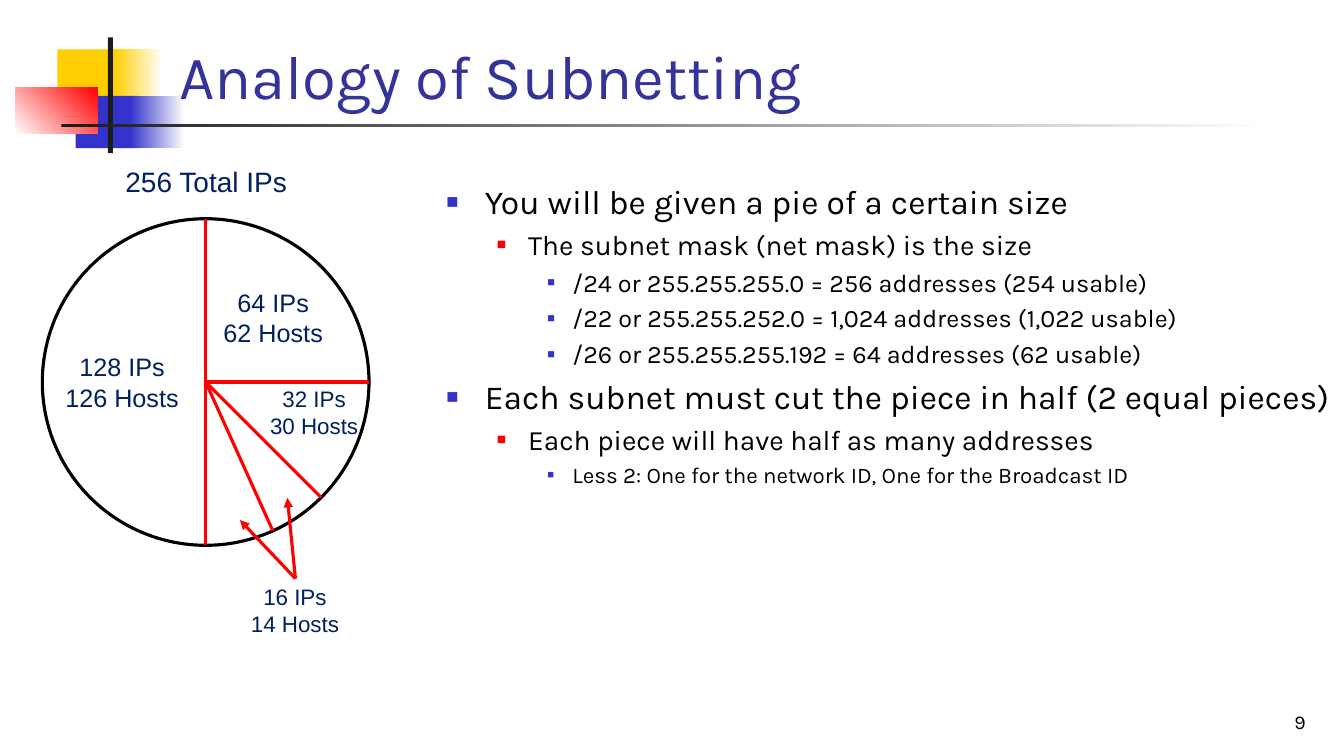
import math

import lxml.etree
import pptx
import pptx.dml.color
import pptx.enum.dml
import pptx.enum.shapes
import pptx.enum.text
import pptx.oxml.ns
import pptx.util

Inches = pptx.util.Inches
Pt = pptx.util.Pt
Align = pptx.enum.text.PP_ALIGN
Anchor = pptx.enum.text.MSO_ANCHOR
Fit = pptx.enum.text.MSO_AUTO_SIZE
Preset = pptx.enum.shapes.MSO_SHAPE


def color(hex_value):
    """Turn a hex string into an RGB colour."""
    return pptx.dml.color.RGBColor.from_string(hex_value)


def add_xml(parent, tag, **attributes):
    """Append a DrawingML element to a parent."""
    return lxml.etree.SubElement(parent, pptx.oxml.ns.qn(tag), **attributes)


class SlidePainter:
    """Hold the style and the slide being drawn."""

    heading_font, label_font = "Karla", "Arial"
    ink, navy, red, blue = "000000", "002060", "FF0000", "3333CC"
    line_width = Pt(2.25)

    def __init__(self, slide):
        """Keep the slide to draw on."""
        self.slide = slide

    def shape(self, preset, box):
        """Add a preset shape without shadow or outline."""
        shape = self.slide.shapes.add_shape(preset, *map(Inches, box))
        shape.shadow.inherit = False
        shape.line.fill.background()
        return shape

    def block(self, box, start, end=None, angle=0):
        """Add a rectangle with a solid or gradient fill."""
        fill = self.shape(Preset.RECTANGLE, box).fill
        if end is None:
            fill.solid()
            fill.fore_color.rgb = color(start)
            return
        fill.gradient()
        fill.gradient_angle = angle
        for stop, position, shade in zip(fill.gradient_stops, (0, 1), (start, end)):
            stop.position = position
            stop.color.rgb = color(shade)

    def circle(self, center, radius):
        """Add an outlined circle."""
        x, y = center
        circle = self.shape(Preset.OVAL, (x - radius, y - radius, 2 * radius, 2 * radius))
        circle.fill.background()
        circle.line.color.rgb = color(self.ink)
        circle.line.width = self.line_width

    def line(self, start, end, arrow=False):
        """Add a red line, with an arrowhead at its end if asked."""
        line = self.slide.shapes.add_connector(
            pptx.enum.shapes.MSO_CONNECTOR.STRAIGHT, *map(Inches, (*start, *end)))
        line.line.color.rgb = color(self.red)
        line.line.width = self.line_width
        properties = line._element.spPr
        if arrow:
            add_xml(properties.find(pptx.oxml.ns.qn("a:ln")), "a:tailEnd", type="triangle")
        add_xml(properties, "a:effectLst")

    def frame(self, box, anchor=Anchor.TOP, wrap=True):
        """Add a text box and return its text frame."""
        frame = self.slide.shapes.add_textbox(*map(Inches, box)).text_frame
        frame.word_wrap = wrap
        frame.vertical_anchor = anchor
        frame.auto_size = Fit.NONE if wrap else Fit.SHAPE_TO_FIT_TEXT
        return frame

    def paragraph(self, frame, index, text, size, font, shade, align=Align.LEFT):
        """Add one paragraph and return it."""
        paragraph = frame.add_paragraph() if index else frame.paragraphs[0]
        paragraph.alignment = align
        run = paragraph.add_run()
        run.text = text
        run.font.size = Pt(size)
        run.font.name = font
        run.font.color.rgb = color(shade)
        return paragraph

    def heading(self, box, text, size, shade, align=Align.LEFT):
        """Add a single bottom-anchored line of text."""
        frame = self.frame(box, Anchor.BOTTOM)
        self.paragraph(frame, 0, text, size, self.heading_font, shade, align)

    def label(self, box, lines, size):
        """Add a centred label for a part of the pie."""
        frame = self.frame(box, wrap=False)
        for index, text in enumerate(lines):
            self.paragraph(frame, index, text, size, self.label_font, self.navy, Align.CENTER)

    def outline(self, box, points):
        """Add a bulleted outline of (level, size, text) points."""
        levels = ((0.38, 0.38, self.blue, 60), (0.81, 0.31, self.red, 55),
                  (1.25, 0.25, self.blue, 50))
        frame = self.frame(box)
        for index, (level, size, text) in enumerate(points):
            margin, hanging, shade, percent = levels[level]
            paragraph = self.paragraph(frame, index, text, size, self.heading_font, self.ink)
            paragraph.level = level
            paragraph.space_before = Pt(0.22 * size)
            properties = paragraph._p.get_or_add_pPr()
            properties.set("marL", str(Inches(margin)))
            properties.set("indent", str(-Inches(hanging)))
            add_xml(add_xml(properties, "a:buClr"), "a:srgbClr", val=shade)
            add_xml(properties, "a:buSzPct", val=str(percent * 1000))
            add_xml(properties, "a:buFont", typeface=self.label_font)
            add_xml(properties, "a:buChar", char="■")


presentation = pptx.Presentation()
presentation.slide_width = Inches(13.33)
presentation.slide_height = Inches(7.5)
painter = SlidePainter(presentation.slides.add_slide(presentation.slide_layouts[6]))

for ornament in (
    ((0.57, 0.49, 0.64, 0.52), "FFCF01"),
    ((1.13, 0.49, 0.48, 0.52), "FFCF01", "FFFFFF"),
    ((0.75, 0.95, 0.62, 0.52), "3333CC"),
    ((1.29, 0.95, 0.54, 0.52), "3333CC", "FFFFFF"),
    ((0.15, 0.87, 0.82, 0.46), "FFFFFF", "FF0000", 45),
    ((1.07, 0.37, 0.05, 1.15), "1C1C1C"),
    ((0.61, 1.23, 12, 0.03), "1C1C1C", "FFFFFF"),
):
    painter.block(*ornament)

painter.heading((1.68, 0.23, 11.36, 0.93), "Analogy of Subnetting", 44, "333399")
painter.outline((4.33, 1.75, 9, 5.25), (
    (0, 24, "You will be given a pie of a certain size"),
    (1, 20, "The subnet mask (net mask) is the size"),
    (2, 18, "/24 or 255.255.255.0 = 256 addresses (254 usable)"),
    (2, 18, "/22 or 255.255.252.0 = 1,024 addresses (1,022 usable)"),
    (2, 18, "/26 or 255.255.255.192 = 64 addresses (62 usable)"),
    (0, 24, "Each subnet must cut the piece in half (2 equal pieces)"),
    (1, 20, "Each piece will have half as many addresses"),
    (2, 16, "Less 2: One for the network ID, One for the Broadcast ID"),
))
painter.heading((10.27, 7, 2.78, 0.33), "9", 14, "000000", Align.RIGHT)

pie_center, pie_radius = (2.04, 3.79), 1.62
center_x, center_y = pie_center
painter.circle(pie_center, pie_radius)
painter.line((center_x, center_y - pie_radius), (center_x, center_y + pie_radius))
for cut_angle in (0, 45, 65.7):
    cut = math.radians(cut_angle)
    rim = (center_x + pie_radius * math.cos(cut), center_y + pie_radius * math.sin(cut))
    painter.line(rim, pie_center)

painter.label((1.14, 1.58, 1.81, 0.44), ("256 Total IPs",), 20)
for box, addresses, size in (
    ((0.54, 3.44, 1.34, 0.71), 128, 18),
    ((2.11, 2.8, 1.2, 0.71), 64, 18),
    ((2.57, 3.77, 1.09, 0.64), 32, 16),
    ((2.38, 5.74, 1.09, 0.64), 16, 16),
):
    painter.label(box, (f"{addresses} IPs", f"{addresses - 2} Hosts"), size)

for smallest_piece in ((2.85, 4.94), (2.38, 5.16)):
    painter.line((2.93, 5.74), smallest_piece, arrow=True)

presentation.save("out.pptx")
